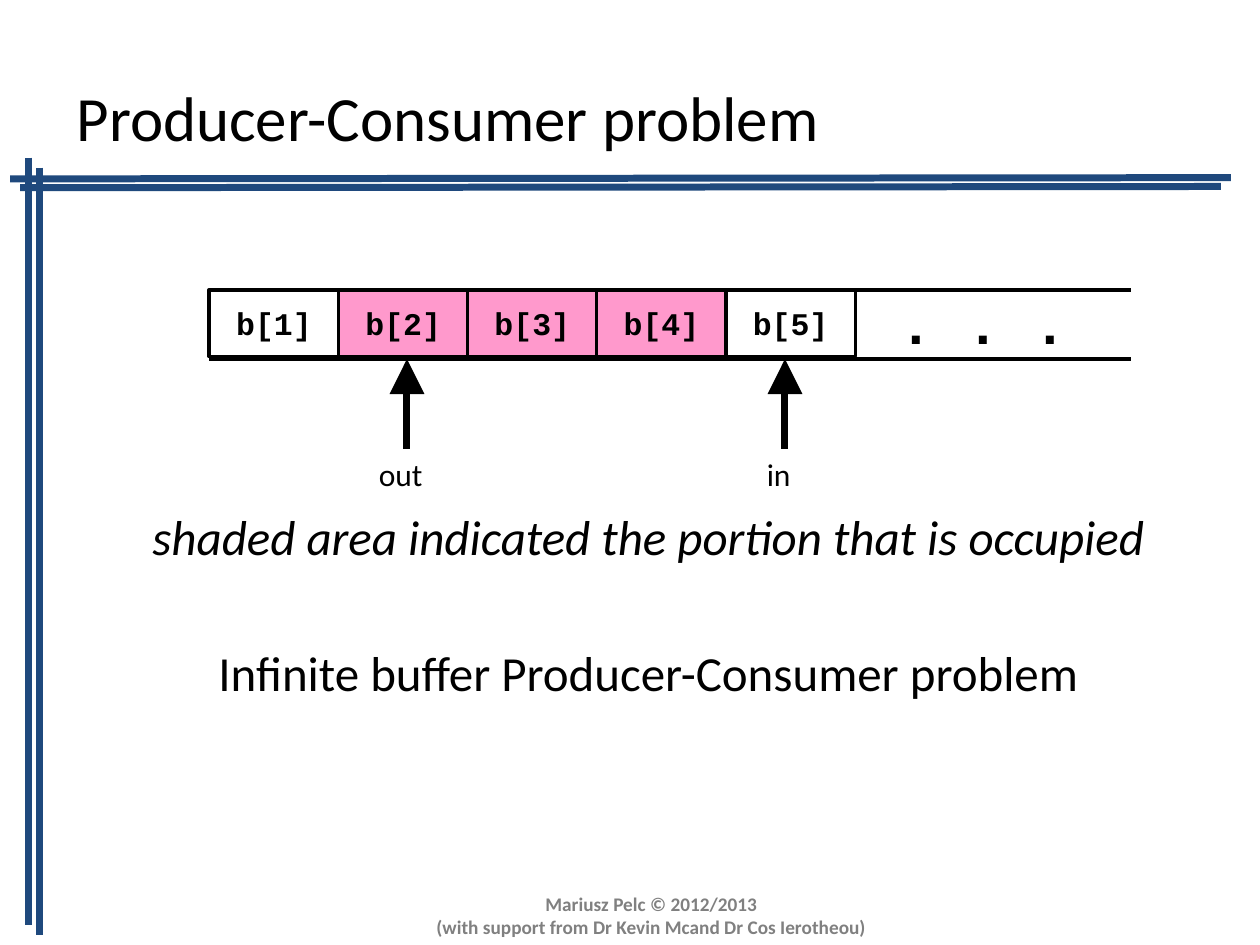
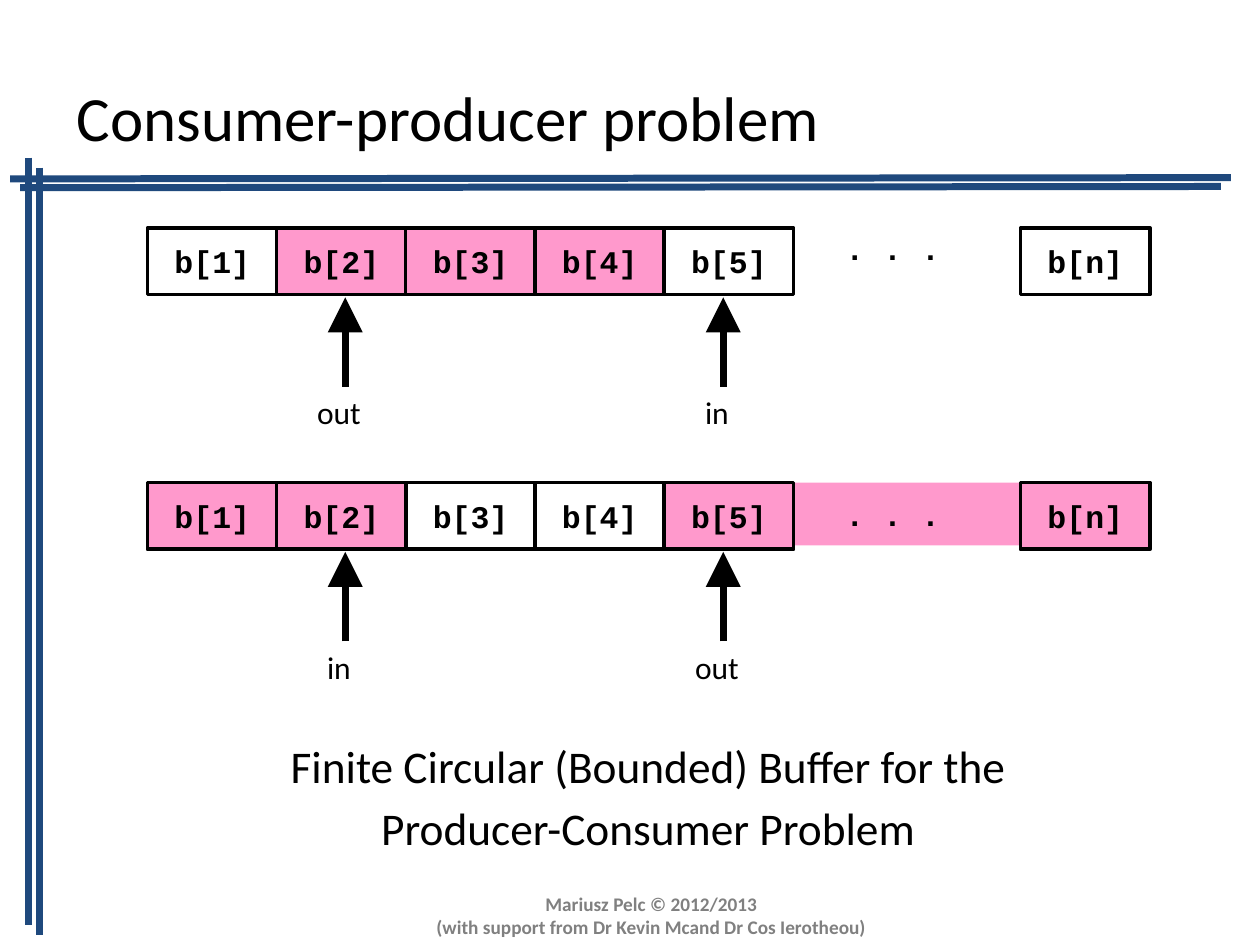
from dataclasses import dataclass

import pptx
import pptx.dml.color
import pptx.enum.shapes
import pptx.enum.text
import pptx.oxml
import pptx.oxml.ns
import pptx.util
from pptx.util import Inches

BLACK, BLUE, GREY, PINK = "000000", "1F497D", "808080", "FF99CC"
SANS, MONO = "Calibri", "Courier New"
CELL_W, CELL_H, CELL_PITCH = 1.03, 0.53, 1.025
ARROW_TOP, ARROW_BOTTOM = 0.55, 1.26
LEFT = pptx.enum.text.PP_ALIGN.LEFT
CENTER = pptx.enum.text.PP_ALIGN.CENTER
TOP = pptx.enum.text.MSO_ANCHOR.TOP
MIDDLE = pptx.enum.text.MSO_ANCHOR.MIDDLE


@dataclass(frozen=True)
class Style:
    size: float
    font: str = SANS
    color: str = BLACK
    bold: bool = False
    italic: bool = False
    align: int = CENTER
    anchor: int = TOP


@dataclass(frozen=True)
class Para:
    text: str
    style: Style
    before: float = 0


@dataclass(frozen=True)
class Rule:
    x1: float
    y1: float
    x2: float
    y2: float
    color: str = BLACK
    width: float = 2
    arrow: bool = False


@dataclass(frozen=True)
class Cell:
    label: str
    column: float
    filled: bool = False


@dataclass(frozen=True)
class Pointer:
    label: str
    offset: float


TITLE = Style(36, align=LEFT, anchor=MIDDLE)
FOOTER = Style(11, color=GREY, bold=True)
CODE = Style(18, MONO, bold=True, anchor=MIDDLE)
WIDE_DOTS = Style(32, MONO, bold=True, anchor=MIDDLE)
POINTER = Style(18)
NOTE = Style(28)
NOTE_ITALIC = Style(28, italic=True)
CAPTION = Style(25.9)

FRAME = [
    Rule(0.23, 1.25, 0.23, 7.34, BLUE, 4),
    Rule(0.31, 1.33, 0.31, 7.42, BLUE, 4),
    Rule(0.08, 1.42, 9.77, 1.41, BLUE, 4),
    Rule(0.16, 1.49, 9.69, 1.48, BLUE, 4),
]
FOOTER_LINES = [
    "Mariusz Pelc © 2012/2013",
    "(with support from Dr Kevin Mcand Dr Cos Ierotheou)",
]
LOWER_POINTER, UPPER_POINTER = 1.57, 4.57
LAST_COLUMN = 6.76


def rgb(color: str) -> pptx.dml.color.RGBColor:
    return pptx.dml.color.RGBColor.from_string(color)


def write(tf, paras: list[Para]) -> None:
    tf.word_wrap = True
    tf.vertical_anchor = paras[0].style.anchor
    for i, para in enumerate(paras):
        style = para.style
        p = tf.add_paragraph() if i else tf.paragraphs[0]
        p.alignment = style.align
        p.space_before = pptx.util.Pt(para.before)
        r = p.add_run()
        r.text = para.text
        r.font.name = style.font
        r.font.size = pptx.util.Pt(style.size)
        r.font.bold = style.bold
        r.font.italic = style.italic
        r.font.color.rgb = rgb(style.color)


def add_text(s, x: float, y: float, w: float, h: float, paras: list[Para]) -> None:
    box = s.shapes.add_textbox(Inches(x), Inches(y), Inches(w), Inches(h))
    write(box.text_frame, paras)


def add_rule(s, rule: Rule) -> None:
    line = s.shapes.add_connector(
        pptx.enum.shapes.MSO_CONNECTOR.STRAIGHT,
        Inches(rule.x1), Inches(rule.y1), Inches(rule.x2), Inches(rule.y2),
    )
    line.line.color.rgb = rgb(rule.color)
    line.line.width = pptx.util.Pt(rule.width)
    if rule.arrow:
        ns = pptx.oxml.ns.nsdecls("a")
        head = f'<a:tailEnd {ns} type="triangle" w="lg" len="lg"/>'
        line.line._get_or_add_ln().append(pptx.oxml.parse_xml(head))
    sp_pr = line._element.spPr
    sp_pr.append(sp_pr.makeelement(pptx.oxml.ns.qn("a:effectLst"), {}))


def add_box(s, x: float, y: float, w: float, h: float, text: str,
            filled: bool, outlined: bool = True) -> None:
    sp = s.shapes.add_shape(
        pptx.enum.shapes.MSO_SHAPE.RECTANGLE,
        Inches(x), Inches(y), Inches(w), Inches(h),
    )
    sp.shadow.inherit = False
    if filled:
        sp.fill.solid()
        sp.fill.fore_color.rgb = rgb(PINK)
    else:
        sp.fill.background()
    if outlined:
        sp.line.color.rgb = rgb(BLACK)
        sp.line.width = pptx.util.Pt(2)
    else:
        sp.line.fill.background()
    write(sp.text_frame, [Para(text, CODE)])


def add_buffer(s, x: float, y: float, cells: list[Cell], pointers: list[Pointer]) -> None:
    for cell in cells:
        left = x + cell.column * CELL_PITCH
        add_box(s, left, y, CELL_W, CELL_H, cell.label, cell.filled)
    for pointer in pointers:
        tip = x + pointer.offset
        add_rule(s, Rule(tip, y + ARROW_BOTTOM, tip, y + ARROW_TOP, width=4, arrow=True))
        add_text(s, tip - 0.38, y + ARROW_BOTTOM, 0.66, 0.5, [Para(pointer.label, POINTER)])


def numbered_cells(occupied: set[int]) -> list[Cell]:
    return [Cell(f"b[{n}]", n - 1, n in occupied) for n in range(1, 6)]


def add_base_slide(prs, title: str):
    s = prs.slides.add_slide(prs.slide_layouts[6])
    add_text(s, 0.51, 0.3, 7.66, 1.25, [Para(title, TITLE)])
    for rule in FRAME:
        add_rule(s, rule)
    add_text(s, 3.17, 7.03, 4, 0.47, [Para(t, FOOTER) for t in FOOTER_LINES])
    return s


def add_infinite_buffer(prs) -> None:
    s = add_base_slide(prs, "Producer-Consumer problem")
    x, y = 1.66, 2.3
    pointers = [Pointer("out", LOWER_POINTER), Pointer("in", UPPER_POINTER)]
    add_buffer(s, x, y, numbered_cells({2, 3, 4}), pointers)
    for edge in (y, y + ARROW_TOP):
        add_rule(s, Rule(x, edge, 8.98, edge))
    add_text(s, 6.78, 2.24, 2.05, 0.63, [Para(". . .", WIDE_DOTS)])
    add_text(s, 0.51, 3.97, 9.27, 1.75, [
        Para("shaded area indicated the portion that is occupied", NOTE_ITALIC),
        Para("Infinite buffer Producer-Consumer problem", NOTE, 44),
    ])


def add_circular_buffer(prs) -> None:
    s = add_base_slide(prs, "Consumer-producer problem")
    x, upper, lower = 1.17, 1.81, 3.83
    add_box(s, 6.06, upper - 0.09, 2.05, 0.5, ". . .", False, False)
    add_box(s, 6.06, lower, 2.05, 0.5, ". . .", True, False)
    rows = [
        (upper, {2, 3, 4}, False, ("out", "in")),
        (lower, {1, 2, 5}, True, ("in", "out")),
    ]
    for y, occupied, last_filled, labels in rows:
        cells = numbered_cells(occupied) + [Cell("b[n]", LAST_COLUMN, last_filled)]
        offsets = (LOWER_POINTER, UPPER_POINTER)
        add_buffer(s, x, y, cells, [Pointer(t, o) for t, o in zip(labels, offsets)])
    add_text(s, 0.51, 5.81, 9.27, 1.1, [
        Para("Finite Circular (Bounded) Buffer for the", CAPTION),
        Para("Producer-Consumer Problem", CAPTION, 4.4),
    ])


def main() -> None:
    prs = pptx.Presentation()
    prs.slide_width, prs.slide_height = Inches(10), Inches(7.5)
    add_infinite_buffer(prs)
    add_circular_buffer(prs)
    prs.save("out.pptx")


if __name__ == "__main__":
    main()
